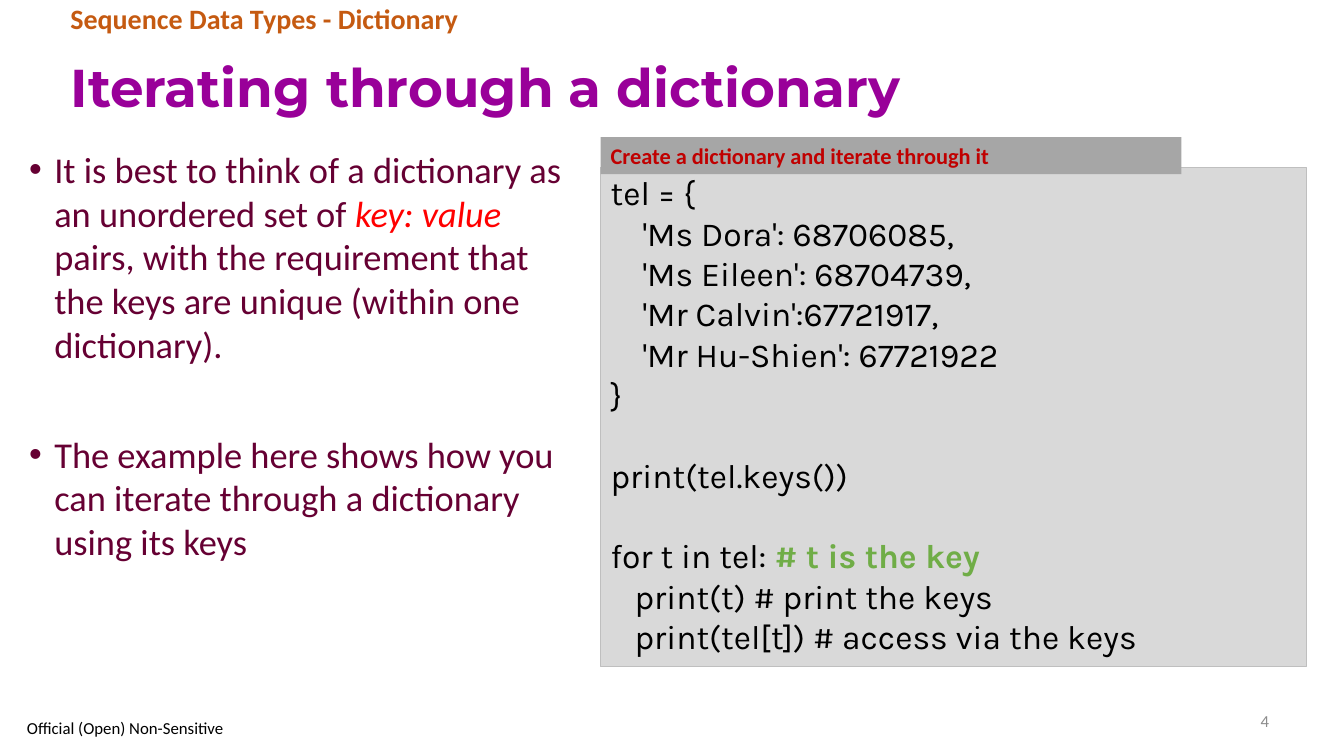
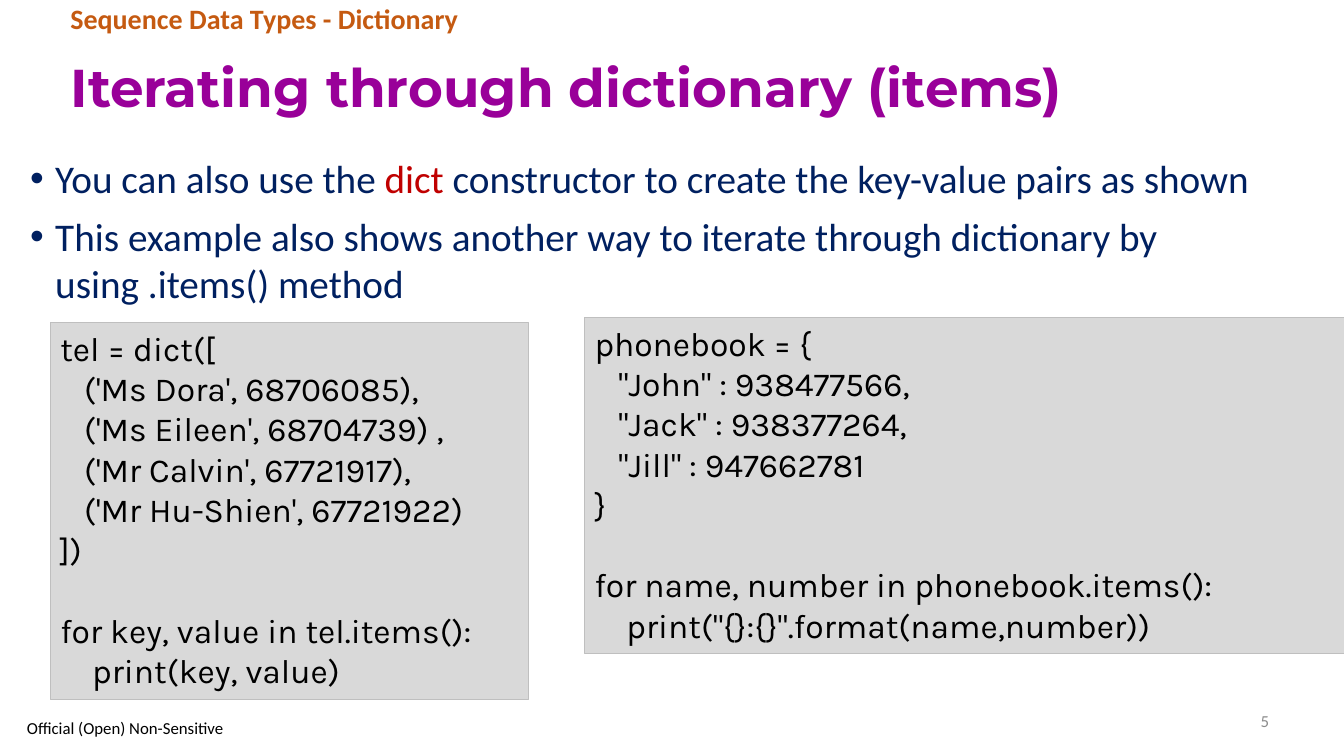
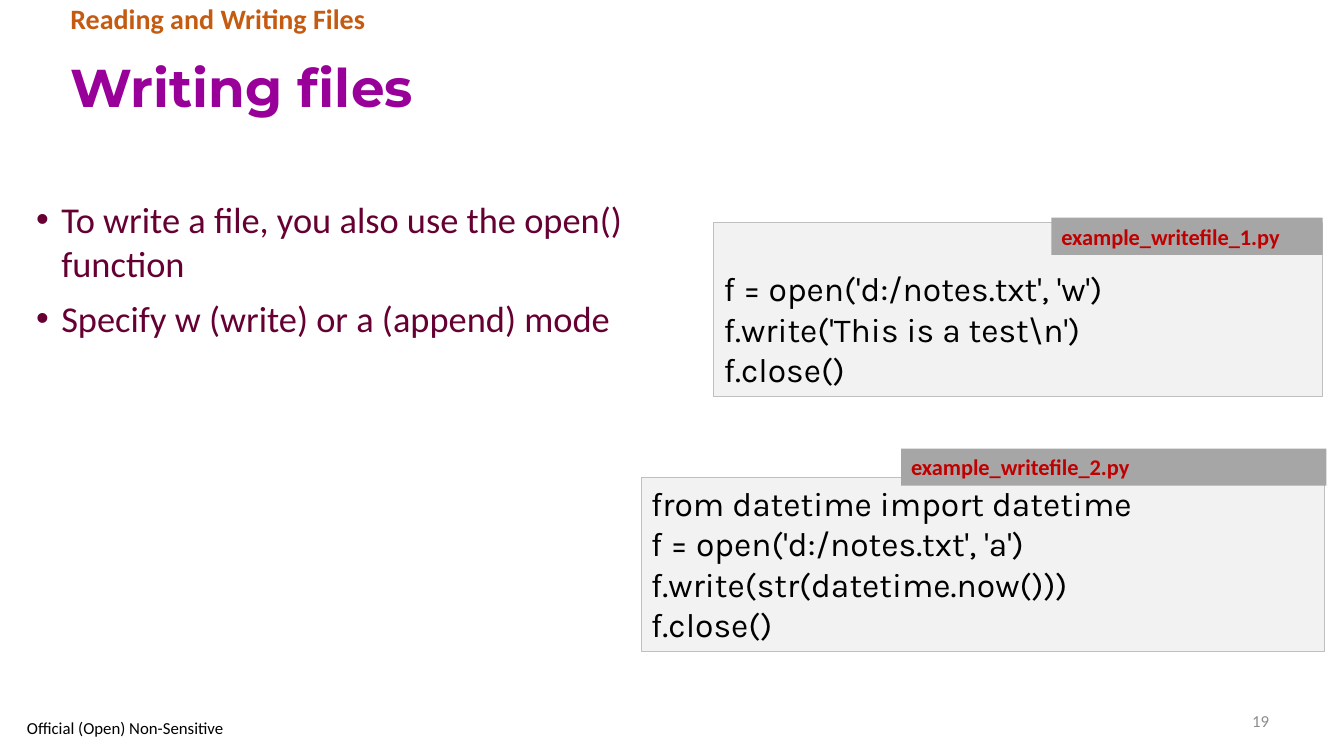
from dataclasses import dataclass

from lxml.etree import SubElement
from pptx import Presentation
from pptx.dml.color import RGBColor
from pptx.enum.shapes import MSO_SHAPE as Preset
from pptx.enum.text import MSO_ANCHOR as Anchor, PP_ALIGN as Align
from pptx.oxml.ns import qn
from pptx.util import Pt


@dataclass(frozen=True)
class Theme:
    body_font: str = "Calibri"
    title_font: str = "Montserrat"
    code_font: str = "Karla"
    title_size: int = 38
    kicker_size: int = 20
    code_size: int = 24
    badge_size: int = 16
    small_size: int = 12
    black: str = "000000"
    purple: str = "990099"
    orange: str = "C55A11"
    plum: str = "660033"
    navy: str = "002060"
    red: str = "FF0000"
    dark_red: str = "C00000"
    green: str = "70AD47"
    number_grey: str = "8C8C8C"
    badge_grey: str = "A6A6A6"
    border_grey: str = "BFBFBF"
    code_grey: str = "D9D9D9"
    pale_grey: str = "F2F2F2"
    code_space: float = 5.7
    code_line: float = 28.8
    bullet_indent: int = 18
    bullet_gap: int = 8


@dataclass(frozen=True)
class Line:
    runs: tuple
    spaces: int = 0
    gap: float = 0


theme = Theme()


def write_text(shape, lines, size, color, font=theme.body_font, bold=False, align=Align.LEFT,
               anchor=Anchor.TOP, spacing=None, gap=0, bullets=False, top=3.6):
    frame = shape.text_frame
    frame.word_wrap = True
    frame.vertical_anchor = anchor
    frame.margin_top = Pt(top)
    for index, line in enumerate(lines):
        line = line if isinstance(line, Line) else Line((line,))
        paragraph = frame.paragraphs[0] if index == 0 else frame.add_paragraph()
        paragraph.alignment = align
        paragraph.space_before = Pt(gap + line.gap)
        if spacing:
            paragraph.line_spacing = spacing
        properties = paragraph._p.get_or_add_pPr()
        if bullets:
            properties.set("marL", str(Pt(theme.bullet_indent)))
            properties.set("indent", str(-Pt(theme.bullet_indent)))
            SubElement(properties, qn("a:buFont"), typeface="Arial")
            SubElement(properties, qn("a:buChar"), char="•")
        elif line.spaces:
            properties.set("marL", str(Pt(line.spaces * theme.code_space)))
        for part in line.runs:
            text, changes = (part, {}) if isinstance(part, str) else part
            run = paragraph.add_run()
            run.text = text
            run.font.name = font
            run.font.size = Pt(size)
            run.font.bold = changes.get("bold", bold)
            run.font.italic = changes.get("italic", False)
            run.font.color.rgb = RGBColor.from_string(changes.get("color", color))


def add_panel(slide, box, fill, border=None):
    panel = slide.shapes.add_shape(Preset.RECTANGLE, *map(Pt, box))
    panel.shadow.inherit = False
    panel.fill.solid()
    panel.fill.fore_color.rgb = RGBColor.from_string(fill)
    if border:
        panel.line.color.rgb = RGBColor.from_string(border)
        panel.line.width = Pt(0.75)
    else:
        panel.line.fill.background()
    return panel


pages = [
    {
        "title": "Iterating through a dictionary",
        "kicker": "Sequence Data Types - Dictionary",
        "number": "4",
        "bullets": {
            "box": (13.7, 101.5, 397.4, 373), "size": 26, "color": theme.plum,
            "lines": [
                Line(("It is best to think of a dictionary as an unordered set of ",
                      ("key: value", {"color": theme.red, "italic": True}),
                      " pairs, with the requirement that the keys are unique (within one dictionary).")),
                Line(("The example here shows how you can iterate through a dictionary using its keys",),
                     gap=39.4),
            ],
        },
        "code": [{
            "box": (429.1, 119.5, 504, 356.4), "fill": theme.code_grey,
            "lines": [
                "tel = {",
                Line(("'Ms Dora': 68706085,",), 4),
                Line(("'Ms Eileen': 68704739,",), 4),
                Line(("'Mr Calvin':67721917,",), 4),
                Line(("'Mr Hu-Shien': 67721922",), 4),
                "}",
                Line(("print(tel.keys())",), gap=theme.code_line),
                Line(("for t in tel: ", ("# t is the key", {"color": theme.green, "bold": True})),
                     gap=theme.code_line),
                Line(("print(t) # print the keys",), 3),
                Line(("print(tel[t]) # access via the keys",), 3),
            ],
        }],
        "badges": [("Create a dictionary and iterate through it", (429.1, 97.9, 414.7, 26.6))],
    },
    {
        "title": "Iterating through dictionary (items)",
        "kicker": "Sequence Data Types - Dictionary",
        "number": "5",
        "bullets": {
            "box": (14.4, 106.6, 924.5, 123.8), "size": 28, "color": theme.navy,
            "lines": [
                Line(("You can also use the ", ("dict", {"color": theme.dark_red}),
                      " constructor to create the key-value pairs as shown")),
                "This example also shows another way to iterate through dictionary by using .items() method",
            ],
        },
        "code": [
            {
                "box": (36, 230.4, 341.3, 269.3), "fill": theme.code_grey,
                "lines": [
                    "tel = dict([",
                    Line(("('Ms Dora', 68706085),",), 3),
                    Line(("('Ms Eileen', 68704739) ,",), 3),
                    Line(("('Mr Calvin', 67721917),",), 3),
                    Line(("('Mr Hu-Shien', 67721922)",), 3),
                    "])",
                    Line(("for key, value in tel.items():",), gap=theme.code_line),
                    Line(("print(key, value)",), 4),
                ],
            },
            {
                "box": (417.6, 226.8, 556.6, 239.8), "fill": theme.code_grey,
                "lines": [
                    "phonebook = {",
                    Line(('"John" : 938477566,',), 3),
                    Line(('"Jack" : 938377264,',), 3),
                    Line(('"Jill" : 947662781',), 3),
                    "}",
                    Line(("for name, number in phonebook.items():",), gap=theme.code_line),
                    Line(('print("{}:{}".format(name,number))',), 4),
                ],
            },
        ],
        "badges": [],
    },
    {
        "title": "Writing files",
        "kicker": "Reading and Writing Files",
        "number": "19",
        "bullets": {
            "box": (18.7, 137.5, 439.2, 68.4), "size": 26, "color": theme.plum,
            "lines": [
                "To write a file, you also use the open() function",
                "Specify w (write) or a (append) mode",
            ],
        },
        "code": [
            {
                "box": (509.8, 159.1, 434.9, 123.8), "fill": theme.pale_grey, "top": 32.4,
                "lines": ["f = open('d:/notes.txt', 'w')", "f.write('This is a test\\n')", "f.close()"],
            },
            {
                "box": (457.9, 341.3, 488.2, 123.8), "fill": theme.pale_grey,
                "lines": [
                    "from datetime import datetime",
                    "f = open('d:/notes.txt', 'a')",
                    "f.write(str(datetime.now()))",
                    "f.close()",
                ],
            },
        ],
        "badges": [
            ("example_writefile_1.py", (751, 155.5, 193.7, 26.6)),
            ("example_writefile_2.py", (643.7, 320.4, 303.8, 26.6)),
        ],
    },
]

presentation = Presentation()
presentation.slide_width = Pt(960)
presentation.slide_height = Pt(540)
title_only = presentation.slide_layouts[5]

for page in pages:
    slide = presentation.slides.add_slide(title_only)
    title = slide.shapes.title
    title.left, title.top, title.width, title.height = map(Pt, (43.2, 29.5, 870.5, 69.8))
    write_text(title, [page["title"]], theme.title_size, theme.purple, font=theme.title_font,
               bold=True, anchor=Anchor.MIDDLE, spacing=0.9)

    kicker = slide.shapes.add_textbox(*map(Pt, (43.2, 0, 744.5, 29.5)))
    write_text(kicker, [page["kicker"]], theme.kicker_size, theme.orange, bold=True, spacing=0.9)

    bullets = page["bullets"]
    bullet_box = slide.shapes.add_textbox(*map(Pt, bullets["box"]))
    write_text(bullet_box, bullets["lines"], bullets["size"], bullets["color"],
               gap=theme.bullet_gap, bullets=True)

    for code in page["code"]:
        panel = add_panel(slide, code["box"], code["fill"], theme.border_grey)
        write_text(panel, code["lines"], theme.code_size, theme.black, font=theme.code_font,
                   top=code.get("top", 3.6))

    for label, box in page["badges"]:
        badge = add_panel(slide, box, theme.badge_grey)
        write_text(badge, [label], theme.badge_size, theme.dark_red, bold=True)

    number = slide.shapes.add_textbox(*map(Pt, (678.2, 500.4, 235.4, 28.8)))
    write_text(number, [page["number"]], theme.small_size, theme.number_grey,
               align=Align.RIGHT, anchor=Anchor.MIDDLE)

    footer = slide.shapes.add_textbox(*map(Pt, (12.2, 510.5, 161.3, 18.7)))
    write_text(footer, ["Official (Open) Non-Sensitive"], theme.small_size, theme.black,
               anchor=Anchor.MIDDLE)

presentation.save("out.pptx")
